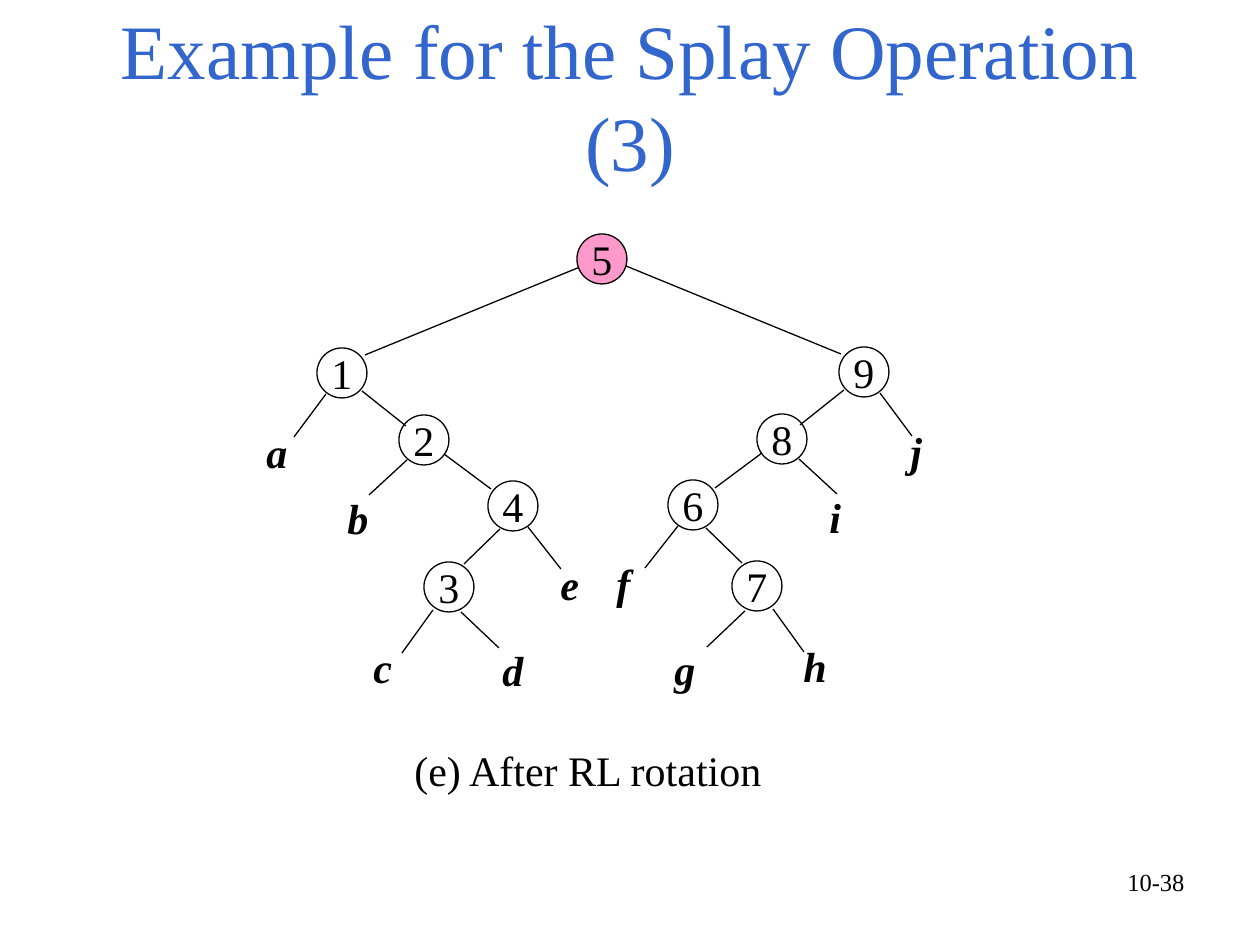
from pptx import Presentation
from pptx import util as u
from pptx.dml.color import RGBColor
from pptx.enum import shapes, text
from pptx.oxml.ns import qn
from lxml import etree

TITLE = "Example for the Splay Operation (3)"
CAPTION = "(e) After RL rotation"
PAGE = "10-38"
FONT = "Times New Roman"
COLOR = {"title": "3366CC", "ink": "000000", "root": "FF99CC"}

# Tree: (name, its name in the right half, centre x, y), in px of the left half
ROOT = ("5", 602, 259)
NODES = [("1", "9", 342, 373), ("2", "8", 424, 440),
         ("4", "6", 513, 506), ("3", "7", 449, 587)]
# Subtrees: the y is the top of the label
LEAVES = [("a", "j", 281, 420), ("b", "i", 362, 486), ("e", "f", 575, 552),
          ("d", "g", 517, 638), ("c", "h", 388, 635)]
EDGES = [(580, 267, 365, 355), (362, 391, 406, 426), (444, 454, 491, 489),
         (407, 460, 369, 495), (500, 529, 464, 564), (528, 527, 561, 569),
         (461, 612, 499, 648), (433, 610, 402, 653), (326, 394, 294, 437)]
SPAN = 1206   # a left x and its mirrored x add up to this
LIFT = 1      # the right half sits this much higher
SIZE = 50
LEAF_W, LEAF_H = 55, 63

SCALE = 914400 // 126


def px(*vals):
    return [u.Emu(v * SCALE) for v in vals]


def rgb(name):
    return RGBColor.from_string(COLOR[name])


def style(par, size, color="ink", bold=False, align=None):
    font = par.font
    font.name, font.size, font.color.rgb = FONT, u.Pt(size), rgb(color)
    font.bold = font.italic = bold
    par.alignment = align


def label(words, box, size=24, bold=False, align=None, before=15):
    frame = slide.shapes.add_textbox(*px(*box)).text_frame
    frame.word_wrap = True
    par = frame.paragraphs[0]
    par.text = words
    par.space_before = u.Pt(before)
    style(par, size, bold=bold, align=align)


def node(name, x, y, fill=None):
    dot = slide.shapes.add_shape(
        shapes.MSO_SHAPE.OVAL,
        *px(x - SIZE // 2, y - SIZE // 2, SIZE, SIZE))
    dot.shadow.inherit = False
    if fill:
        dot.fill.solid()
        dot.fill.fore_color.rgb = rgb(fill)
    else:
        dot.fill.background()
    dot.line.color.rgb, dot.line.width = rgb("ink"), u.Pt(0.75)
    frame = dot.text_frame
    frame.word_wrap = False
    frame.vertical_anchor = text.MSO_ANCHOR.MIDDLE
    frame.text = name
    style(frame.paragraphs[0], 24, align=text.PP_ALIGN.CENTER)


def edge(*ends):
    line = slide.shapes.add_connector(shapes.MSO_CONNECTOR.STRAIGHT, *px(*ends))
    line.line.color.rgb, line.line.width = rgb("ink"), u.Pt(0.75)
    etree.SubElement(line._element.spPr, qn("a:effectLst"))


def half(right):
    """Draw the left half of the tree, or its mirror on the right."""
    def spot(x, y):
        return (SPAN - x, y - LIFT) if right else (x, y)

    for x1, y1, x2, y2 in EDGES:
        edge(*spot(x1, y1), *spot(x2, y2))
    for *names, x, y in NODES:
        node(names[right], *spot(x, y))
    for *names, x, y in LEAVES:
        mid, top = spot(x, y)
        label(names[right], (mid - LEAF_W // 2, top, LEAF_W, LEAF_H), bold=True)


prs = Presentation()
prs.slide_width, prs.slide_height = px(1260, 945)
slide = prs.slides.add_slide(prs.slide_layouts[5])

title = slide.shapes.title
title.left, title.top, title.width, title.height = px(63, 16, 1134, 158)
title.text_frame.text = TITLE
title.text_frame.auto_size = text.MSO_AUTO_SIZE.NONE
title.text_frame.vertical_anchor = text.MSO_ANCHOR.MIDDLE
style(title.text_frame.paragraphs[0], 44, "title", align=text.PP_ALIGN.CENTER)

for right in (False, True):
    half(right)
node(*ROOT, fill="root")

label(CAPTION, (402, 738, 449, 63))
label(PAGE, (903, 861, 294, 66), size=14, align=text.PP_ALIGN.RIGHT, before=0)

prs.save("out.pptx")
